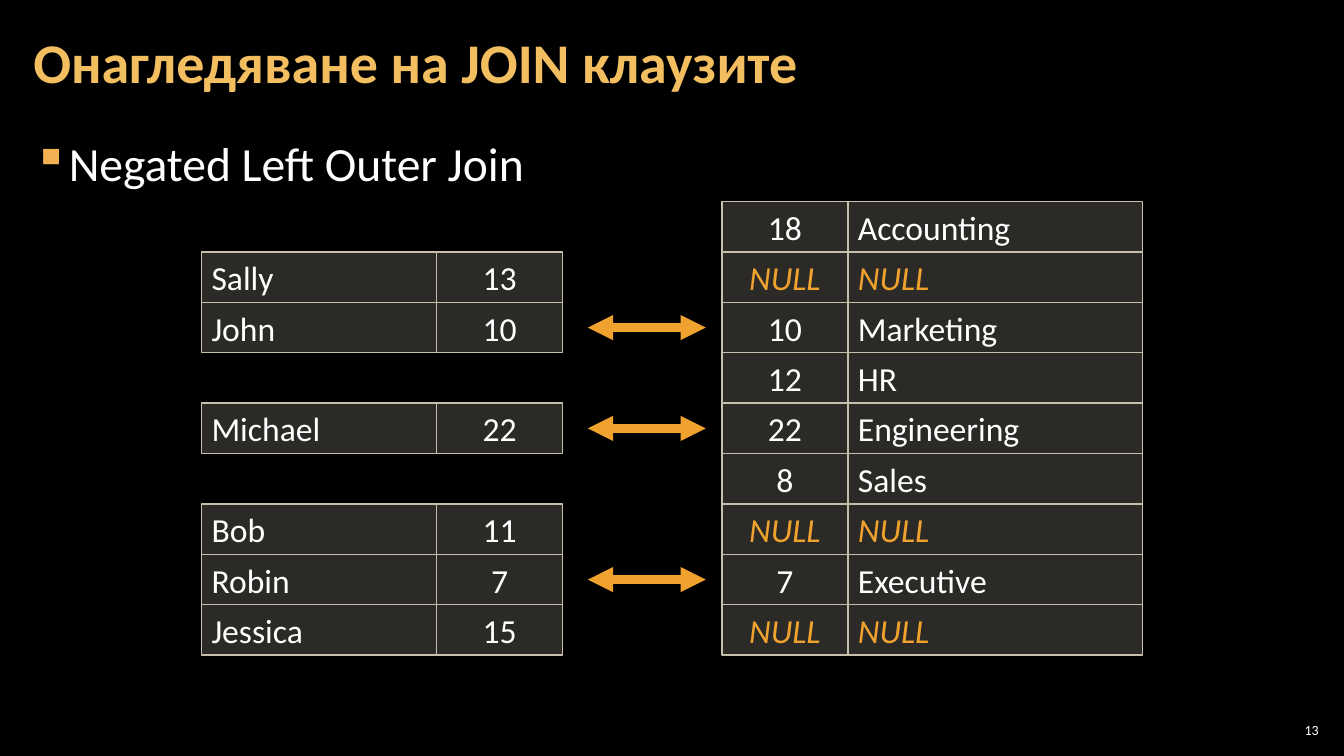
from dataclasses import dataclass

import pptx
import pptx.dml.color
import pptx.enum.shapes
import pptx.enum.text
import pptx.oxml.ns
import pptx.util
from lxml import etree

RGBColor = pptx.dml.color.RGBColor
Align = pptx.enum.text.PP_ALIGN
Inches = pptx.util.Inches
Pt = pptx.util.Pt
qn = pptx.oxml.ns.qn

BLACK = RGBColor(0x00, 0x00, 0x00)
WHITE = RGBColor(0xFF, 0xFF, 0xFF)
TITLE_GOLD = RGBColor(0xF3, 0xBE, 0x60)
BULLET_GOLD = RGBColor(0xF2, 0xB2, 0x54)
ORANGE = RGBColor(0xF0, 0xA2, 0x2E)
CELL_FILL = RGBColor(0xD9, 0xD5, 0xC7)
CELL_BORDER = RGBColor(0xC7, 0xBF, 0xAC)

FONT = "Calibri"
NULL = "NULL"
GRID_TOP = 2.0
ROW_HEIGHT = 0.5
ARROW_LEFT, ARROW_RIGHT = 5.83, 7.0


@dataclass(frozen=True)
class Column:
    left: float
    width: float
    align: Align


@dataclass(frozen=True)
class JoinRow:
    """One grid row; an employee is absent where the department has no match."""
    department_id: str
    department: str
    employee: str = ""
    employee_key: str = ""

    @property
    def matched(self) -> bool:
        return self.employee_key == self.department_id


EMPLOYEE = Column(2.0, 2.33, Align.LEFT)
EMPLOYEE_KEY = Column(4.33, 1.25, Align.CENTER)
DEPARTMENT_ID = Column(7.16, 1.25, Align.CENTER)
DEPARTMENT = Column(8.41, 2.92, Align.LEFT)

JOIN_ROWS = (
    JoinRow("18", "Accounting"),
    JoinRow(NULL, NULL, "Sally", "13"),
    JoinRow("10", "Marketing", "John", "10"),
    JoinRow("12", "HR"),
    JoinRow("22", "Engineering", "Michael", "22"),
    JoinRow("8", "Sales"),
    JoinRow(NULL, NULL, "Bob", "11"),
    JoinRow("7", "Executive", "Robin", "7"),
    JoinRow(NULL, NULL, "Jessica", "15"),
)


def write_text(shape, text: str, *, size: float, color: RGBColor = WHITE,
               bold: bool = False, italic: bool = False, align: Align = Align.LEFT,
               anchor=pptx.enum.text.MSO_ANCHOR.MIDDLE,
               insets: tuple[float, float] = (0.1, 0.05), line_spacing: float = 1.0):
    """Fill the shape with one paragraph; insets are horizontal, vertical inches."""
    frame = shape.text_frame
    frame.word_wrap = True
    frame.auto_size = pptx.enum.text.MSO_AUTO_SIZE.NONE
    frame.vertical_anchor = anchor
    frame.margin_left = frame.margin_right = Inches(insets[0])
    frame.margin_top = frame.margin_bottom = Inches(insets[1])
    paragraph = frame.paragraphs[0]
    paragraph.alignment = align
    paragraph.line_spacing = line_spacing
    run = paragraph.add_run()
    run.text = text
    run.font.name = FONT
    run.font.size = Pt(size)
    run.font.bold = bold
    run.font.italic = italic
    run.font.color.rgb = color
    return paragraph


def add_bullet(paragraph, indent: float) -> None:
    properties = paragraph._p.get_or_add_pPr()
    properties.set("marL", str(Inches(indent)))
    properties.set("indent", str(-Inches(indent)))
    bullet_color = etree.SubElement(properties, qn("a:buClr"))
    etree.SubElement(bullet_color, qn("a:srgbClr"), val=str(BULLET_GOLD))
    etree.SubElement(properties, qn("a:buChar"), char="▪")


def add_cell(slide, column: Column, row: int, text: str) -> None:
    cell = slide.shapes.add_shape(
        pptx.enum.shapes.MSO_SHAPE.RECTANGLE,
        Inches(column.left), Inches(GRID_TOP + row * ROW_HEIGHT),
        Inches(column.width), Inches(ROW_HEIGHT))
    cell.shadow.inherit = False
    cell.fill.solid()
    cell.fill.fore_color.rgb = CELL_FILL
    fill_color = cell.element.spPr.find(qn("a:solidFill")).find(qn("a:srgbClr"))
    etree.SubElement(fill_color, qn("a:alpha"), val="20000")
    cell.line.color.rgb = CELL_BORDER
    cell.line.width = Pt(1)
    is_null = text == NULL
    write_text(cell, text, size=24, color=ORANGE if is_null else WHITE,
               italic=is_null, align=column.align)


def add_match_arrow(slide, row: int) -> None:
    middle = Inches(GRID_TOP + (row + 0.5) * ROW_HEIGHT)
    arrow = slide.shapes.add_connector(
        pptx.enum.shapes.MSO_CONNECTOR.STRAIGHT,
        Inches(ARROW_LEFT), middle, Inches(ARROW_RIGHT), middle)
    arrow.line.color.rgb = ORANGE
    arrow.line.width = Pt(6)
    properties = arrow.element.spPr
    for end in ("a:headEnd", "a:tailEnd"):
        etree.SubElement(properties.find(qn("a:ln")), qn(end), type="triangle")
    etree.SubElement(properties, qn("a:effectLst"))


def add_text_box(slide, left: float, top: float, width: float, height: float):
    return slide.shapes.add_textbox(
        Inches(left), Inches(top), Inches(width), Inches(height))


def main() -> None:
    deck = pptx.Presentation()
    deck.slide_width, deck.slide_height = Inches(13.33), Inches(7.5)
    slide = deck.slides.add_slide(deck.slide_layouts.get_by_name("Title Only"))
    slide.background.fill.solid()
    slide.background.fill.fore_color.rgb = BLACK

    title = slide.shapes.title
    title.left, title.top = Inches(0.21), Inches(0.04)
    title.width, title.height = Inches(12.91), Inches(1.21)
    write_text(title, "Онагледяване на JOIN клаузите", size=40, color=TITLE_GOLD,
               bold=True, insets=(0.12, 0.04), line_spacing=0.9)

    join_type = write_text(
        add_text_box(slide, 0.21, 1.26, 12.91, 6.09), "Negated Left Outer Join",
        size=34, anchor=pptx.enum.text.MSO_ANCHOR.TOP,
        insets=(0.12, 0.04), line_spacing=1.05)
    add_bullet(join_type, 0.33)

    for row, join in enumerate(JOIN_ROWS):
        if join.employee:
            add_cell(slide, EMPLOYEE, row, join.employee)
            add_cell(slide, EMPLOYEE_KEY, row, join.employee_key)
        add_cell(slide, DEPARTMENT_ID, row, join.department_id)
        add_cell(slide, DEPARTMENT, row, join.department)
        if join.matched:
            add_match_arrow(slide, row)

    write_text(add_text_box(slide, 12.65, 7.14, 0.47, 0.21), "13", size=10,
               align=Align.RIGHT, insets=(0.04, 0.04))
    deck.save("out.pptx")


if __name__ == "__main__":
    main()
